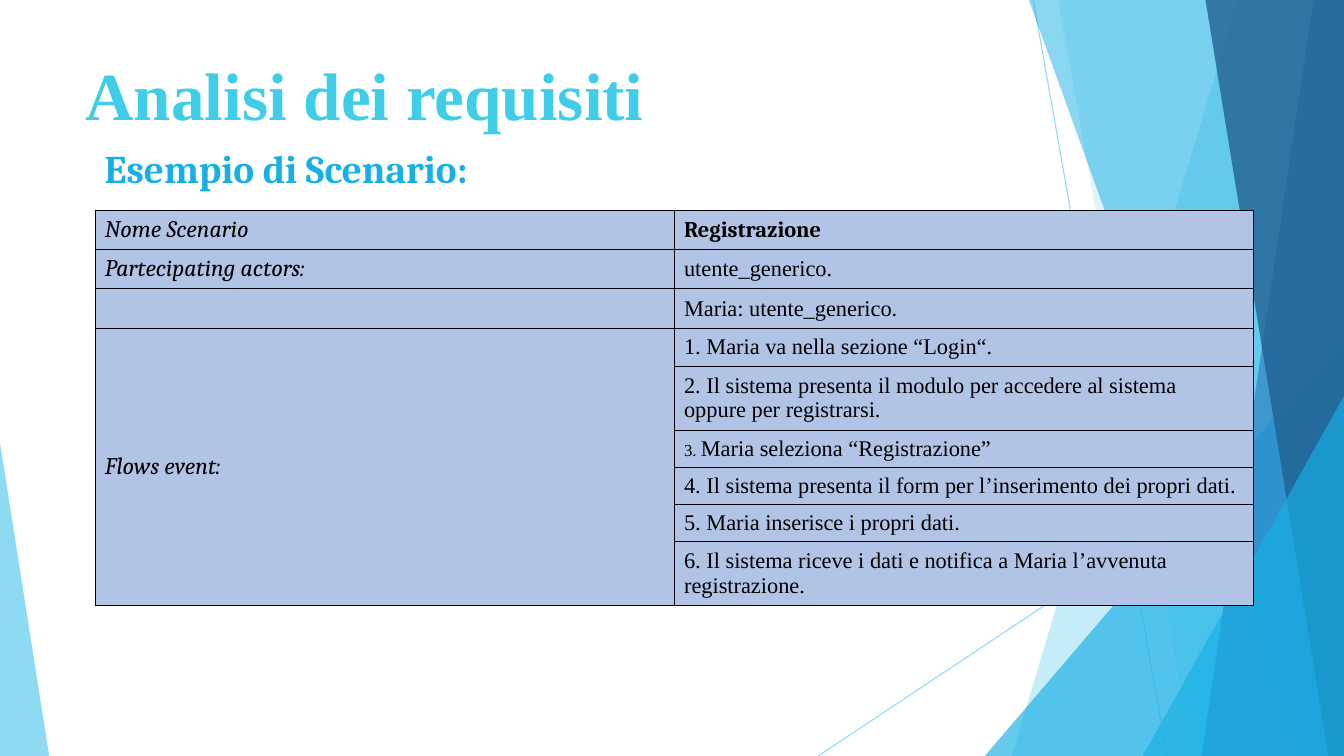
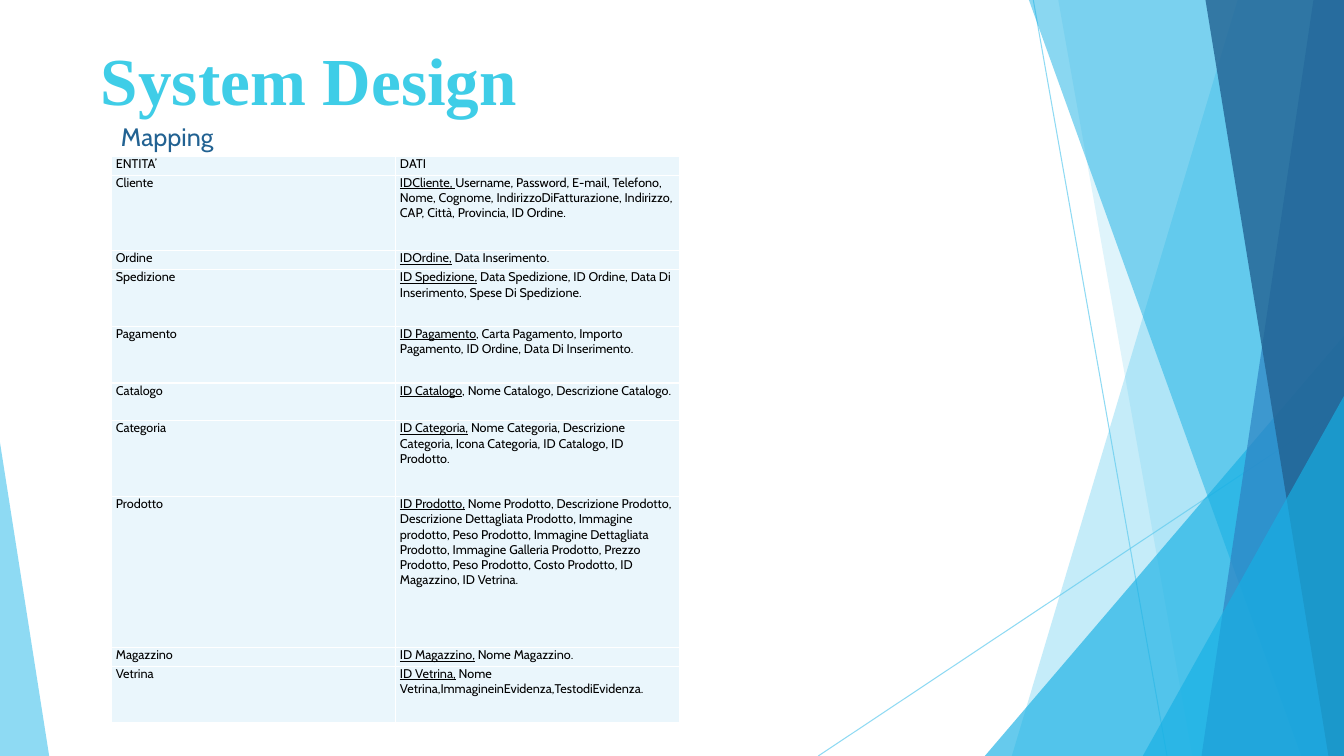
from dataclasses import dataclass

from lxml.etree import SubElement
from pptx import Presentation
from pptx.dml.color import RGBColor
from pptx.enum.shapes import MSO_CONNECTOR as Connector, MSO_SHAPE as Preset
from pptx.enum.text import MSO_ANCHOR as Anchor, MSO_AUTO_SIZE as AutoSize, PP_ALIGN as Align
from pptx.oxml.ns import qn
from pptx.util import Cm, Pt

SKY = RGBColor(0x5F, 0xCB, 0xEF)
AZURE = RGBColor(0x17, 0xB0, 0xE4)
BLUE = RGBColor(0x2E, 0x83, 0xC3)
NAVY = RGBColor(0x22, 0x62, 0x92)
TURQUOISE = RGBColor(0x3F, 0xCD, 0xE7)
PERIWINKLE = RGBColor(0xB2, 0xC4, 0xE5)
ICE = RGBColor(0xEA, 0xF6, 0xFC)
WHITE = RGBColor(0xFF, 0xFF, 0xFF)
BLACK = RGBColor(0x00, 0x00, 0x00)
INK = RGBColor(0x00, 0x00, 0x07)

WIDTH, HEIGHT = 33.87, 19.05
SERIF, HEADING, SANS = "Times New Roman", "Cambria", "Cabin"


@dataclass
class TypeStyle:
    """Font settings of a paragraph."""

    name: str
    size: float
    color: RGBColor = BLACK
    bold: bool = False
    italic: bool = False


@dataclass
class GridStyle:
    """Fill, borders and cell layout of a table."""

    fill: RGBColor
    border: RGBColor
    border_width: float
    margins: tuple
    anchor: Anchor


TITLE = TypeStyle(SERIF, 48, TURQUOISE, bold=True)
LABEL = TypeStyle(HEADING, 17, italic=True)
STEP = TypeStyle(SERIF, 16)
SCENARIO_NAME = TypeStyle(HEADING, 16, bold=True)
ENTITY = TypeStyle(SANS, 9)

SCENARIO_GRID = GridStyle(PERIWINKLE, INK, 0.5, (0.25, 0.13), Anchor.MIDDLE)
MAPPING_GRID = GridStyle(ICE, WHITE, 1, (0.12, 0), Anchor.TOP)

RAYS = [(26.04, 0, 29.41, HEIGHT), (WIDTH, 10.24, 20.62, HEIGHT)]

SCENARIO = [
    ("Nome Scenario", "Registrazione", 0.97),
    ("Partecipating actors:", "utente_generico.", 0.98),
    ("", "Maria: utente_generico.", 1.01),
    ("Flows event:", "1. Maria va nella sezione “Login“.", 0.93),
    ("", "2. Il sistema presenta il modulo per accedere al sistema oppure per registrarsi.", 1.61),
    ("", "Maria seleziona “Registrazione”", 0.93),
    ("", "4. Il sistema presenta il form per l’inserimento dei propri dati.", 0.93),
    ("", "5. Maria inserisce i propri dati.", 0.93),
    ("", "6. Il sistema riceve i dati e notifica a Maria l’avvenuta registrazione.", 1.61),
]
FLOW_ROW, SELECTION_ROW = 3, 5

MAPPING = [
    ("ENTITA’", "", "DATI", 1),
    ("Cliente", "IDCliente, ", "Username, Password, E-mail, Telefono, Nome, Cognome, "
     "IndirizzoDiFatturazione, Indirizzo, CAP, Città, Provincia, ID Ordine.", 4),
    ("Ordine", "IDOrdine,", " Data Inserimento.", 1),
    ("Spedizione", "ID Spedizione,",
     " Data Spedizione, ID Ordine, Data Di Inserimento, Spese Di Spedizione.", 3),
    ("Pagamento", "ID Pagamento",
     ", Carta Pagamento, Importo Pagamento, ID Ordine, Data Di Inserimento.", 3),
    ("Catalogo", "ID Catalogo", ", Nome Catalogo, Descrizione Catalogo.", 2),
    ("Categoria", "ID Categoria,", " Nome Categoria, Descrizione Categoria, "
     "Icona Categoria, ID Catalogo, ID Prodotto.", 4),
    ("Prodotto", "ID Prodotto,", " Nome Prodotto, Descrizione Prodotto, "
     "Descrizione Dettagliata Prodotto, Immagine prodotto, Peso Prodotto, "
     "Immagine Dettagliata Prodotto, Immagine Galleria Prodotto, Prezzo Prodotto, "
     "Peso Prodotto, Costo Prodotto, ID Magazzino, ID Vetrina.", 8),
    ("Magazzino", "ID Magazzino,", " Nome Magazzino.", 1),
    ("Vetrina", "ID Vetrina,", " Nome Vetrina,ImmagineinEvidenza,TestodiEvidenza.", 3),
]
MAPPING_UNIT = 14.28 / sum(row[-1] for row in MAPPING)


class Deck:
    """Presentation style together with the slide being built."""

    def __init__(self):
        self.show = Presentation()
        self.show.slide_width, self.show.slide_height = Cm(WIDTH), Cm(HEIGHT)
        self.slide = None

    def new_slide(self, title, left, top, width):
        """Start a slide with the shared background and a title."""
        self.slide = self.show.slides.add_slide(self.show.slide_layouts[5])
        self.background()
        heading = self.slide.shapes.title
        heading.left, heading.top = Cm(left), Cm(top)
        heading.width, heading.height = Cm(width), Cm(2.31)
        frame = heading.text_frame
        frame.auto_size, frame.word_wrap = AutoSize.NONE, False
        frame.vertical_anchor = Anchor.TOP
        self.set_text(frame.paragraphs[0], [title], TITLE)

    def background(self):
        """Draw the crossing rays and translucent facets."""
        for ray in RAYS:
            self.ray(*ray)
        self.strip(31.19, 25.5, SKY, 36)
        self.strip(26.67, 30.05, SKY, 20)
        self.corner(24.82, 8.46, WIDTH - 24.82, 1, AZURE, 66)
        self.strip(25.93, 32.79, AZURE, 50)
        self.strip(33.1, 30.28, BLUE, 70)
        self.strip(30.38, 33.48, NAVY, 80)
        self.corner(28.8, 9.98, WIDTH - 28.8, 1, AZURE, 66)
        self.corner(0, 11.15, 1.24, 0, SKY, 70)

    def ray(self, *ends):
        """Draw a thin line between two points."""
        line = self.slide.shapes.add_connector(Connector.STRAIGHT, *map(Cm, ends))
        line.line.color.rgb, line.line.width = SKY, Pt(0.75)
        self.set_opacity(line, 70)
        SubElement(line._element.spPr, qn("a:effectLst"))

    def strip(self, top_x, bottom_x, color, opacity):
        """Draw a facet from a slanted left edge to the slide's right edge."""
        builder = self.slide.shapes.build_freeform(Cm(top_x), 0)
        corners = [(WIDTH, 0), (WIDTH, HEIGHT), (bottom_x, HEIGHT)]
        builder.add_line_segments([(Cm(x), Cm(y)) for x, y in corners])
        self.paint(builder.convert_to_shape(), color, opacity)

    def corner(self, left, top, width, apex, color, opacity):
        """Draw a triangle standing on the slide's bottom edge."""
        facet = self.slide.shapes.add_shape(
            Preset.ISOSCELES_TRIANGLE, Cm(left), Cm(top), Cm(width), Cm(HEIGHT - top))
        facet.adjustments[0] = apex
        self.paint(facet, color, opacity)

    def paint(self, facet, color, opacity):
        """Give a facet a translucent fill without outline or shadow."""
        facet.shadow.inherit = False
        facet.fill.solid()
        facet.fill.fore_color.rgb = color
        facet.line.fill.background()
        self.set_opacity(facet, opacity)

    def set_opacity(self, element, percent):
        """Set the opacity of an element's only colour."""
        for color in element._element.spPr.iter(qn("a:srgbClr")):
            SubElement(color, qn("a:alpha"), val=str(percent * 1000))

    def set_text(self, paragraph, runs, style):
        """Fill a paragraph with runs and format it as a whole."""
        paragraph.alignment = Align.LEFT
        font = paragraph.font
        font.name, font.size = style.name, Pt(style.size)
        font.bold, font.italic = style.bold, style.italic
        font.color.rgb = style.color
        for text in filter(None, runs):
            paragraph.add_run().text = text

    def subtitle(self, text, left, top, width, height, style):
        """Add the line of text above a table."""
        box = self.slide.shapes.add_textbox(Cm(left), Cm(top), Cm(width), Cm(height))
        box.text_frame.word_wrap = True
        self.set_text(box.text_frame.paragraphs[0], [text], style)

    def table(self, left, top, column_width, heights, grid):
        """Add an empty two-column table and return it."""
        table = self.slide.shapes.add_table(
            len(heights), 2, Cm(left), Cm(top), Cm(2 * column_width), Cm(sum(heights))).table
        table.first_row = table.horz_banding = False
        for column in table.columns:
            column.width = Cm(column_width)
        for row, height in zip(table.rows, heights):
            row.height = Cm(height)
        for cell in table.iter_cells():
            self.format_cell(cell, grid)
        return table

    def format_cell(self, cell, grid):
        """Apply borders, fill, margins and anchor to a cell."""
        properties = cell._tc.get_or_add_tcPr()
        for side in ("lnL", "lnR", "lnT", "lnB"):
            edge = SubElement(properties, qn(f"a:{side}"), w=str(Pt(grid.border_width)))
            SubElement(SubElement(edge, qn("a:solidFill")), qn("a:srgbClr"), val=str(grid.border))
        cell.fill.solid()
        cell.fill.fore_color.rgb = grid.fill
        cell.margin_left = cell.margin_right = Cm(grid.margins[0])
        cell.margin_top = cell.margin_bottom = Cm(grid.margins[1])
        cell.vertical_anchor = grid.anchor


def scenario_slide(deck):
    """Build the scenario of the requirements analysis."""
    deck.new_slide("Analisi dei requisiti", 1.9, 1.22, 14.73)
    deck.subtitle("Esempio di Scenario:", 2.39, 3.5, 13.74, 1.45,
                  TypeStyle(HEADING, 28, AZURE, bold=True))
    table = deck.table(2.39, 5.31, 14.6, [row[-1] for row in SCENARIO], SCENARIO_GRID)
    for index, (label, step, _) in enumerate(SCENARIO):
        number = "3. " if index == SELECTION_ROW else ""
        description = table.cell(index, 1).text_frame.paragraphs[0]
        deck.set_text(table.cell(index, 0).text_frame.paragraphs[0], [label], LABEL)
        deck.set_text(description, [number, step], STEP if index else SCENARIO_NAME)
        if number:
            description.runs[0].font.size = Pt(12)
    table.cell(FLOW_ROW, 0).merge(table.cell(len(SCENARIO) - 1, 0))


def mapping_slide(deck):
    """Build the mapping of entities to their data."""
    deck.new_slide("System Design", 2.29, 0.84, 11.1)
    heights = [row[-1] * MAPPING_UNIT for row in MAPPING]
    table = deck.table(2.8, 3.94, 7.16, heights, MAPPING_GRID)
    for index, (entity, key, fields, _) in enumerate(MAPPING):
        contents = table.cell(index, 1).text_frame.paragraphs[0]
        deck.set_text(table.cell(index, 0).text_frame.paragraphs[0], [entity], ENTITY)
        deck.set_text(contents, [key, fields], ENTITY)
        if key:
            contents.runs[0].font.underline = True
    deck.subtitle("Mapping", 2.8, 2.92, 3.4, 1.02, TypeStyle(SANS, 18, NAVY))


def main():
    """Build both slides and save the presentation."""
    deck = Deck()
    scenario_slide(deck)
    mapping_slide(deck)
    deck.show.save("out.pptx")


if __name__ == "__main__":
    main()
